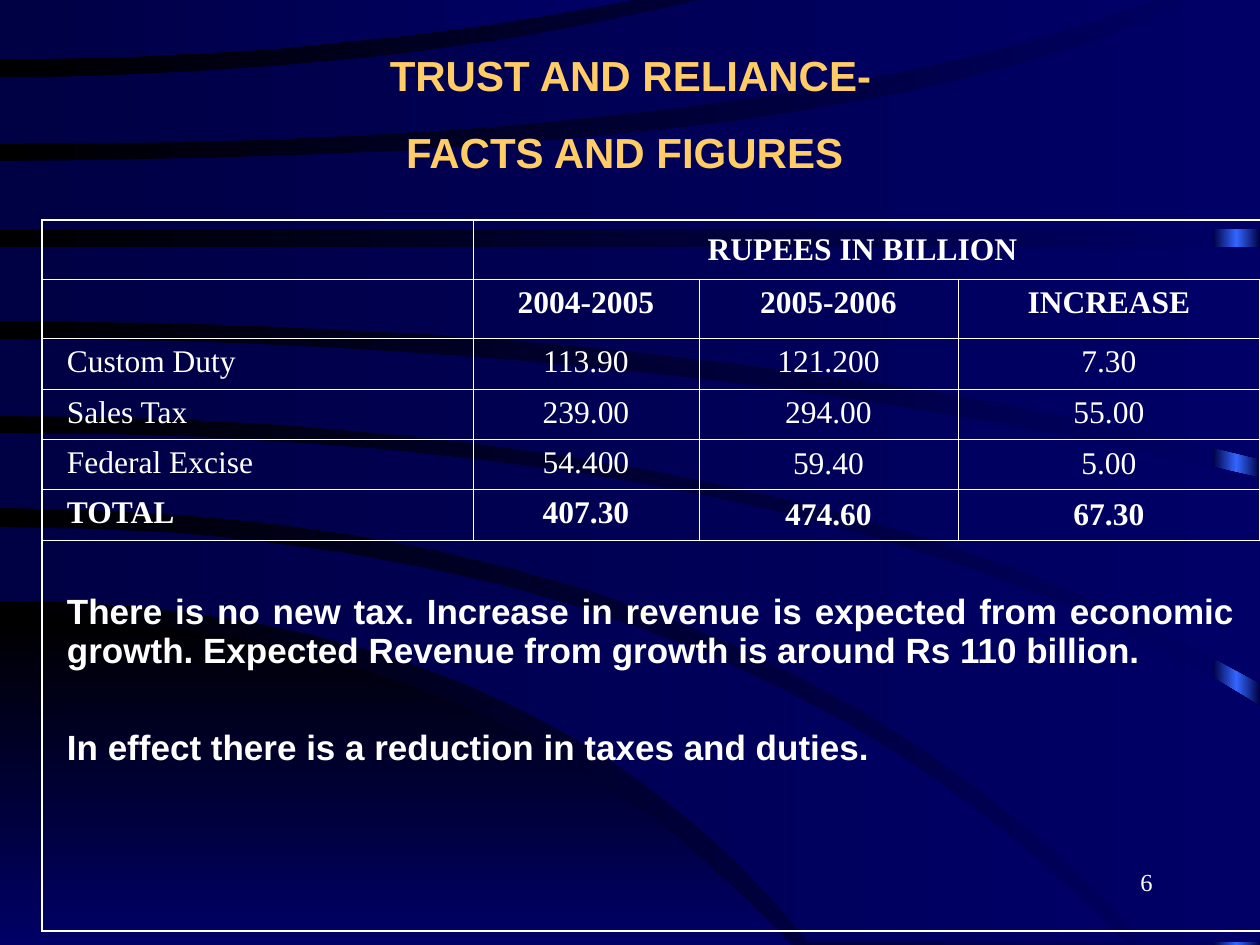
import copy

import pptx
import pptx.dml.color
import pptx.enum.shapes
import pptx.enum.text
import pptx.oxml
import pptx.oxml.ns
import pptx.util

PX = 914400 / 126
WIDTH, HEIGHT = 1260, 945
WHITE, GOLD, BLACK, NAVY, DEEP, BRIGHT = "FFFFFF", "FFCC66", "000000", "000066", "000044", "3366FF"
SERIF, SANS = "Times New Roman", "Arial"
ALIGN = pptx.enum.text.PP_ALIGN
ANCHOR = pptx.enum.text.MSO_ANCHOR

WEDGE = ((619, 497, 791, HEIGHT), (HEIGHT, 0, 791, HEIGHT))
SWEEPS = [
    ((527, 731, 1125, 942), (601, 536, 809, 942)),
    ((433, 830, WIDTH, 706), (508, 755, 1145, 942)),
    ((339, 681, WIDTH, 478), (416, 800, WIDTH, 683)),
    ((247, 0, WIDTH, 247), (321, 710, WIDTH, 459)),
    ((161, 880, 1188, 0), (229, 0, WIDTH, 229)),
    ((77, 380, 701, 0), (144, 776, 1155, 0)),
    ((0, 0, 631, 0), (59, 330, 631, 0)),
]

COLUMNS = [431, 226, 259, 302]
ROWS = [59, 59, 51, 50, 50, 51, 391]
FIGURES = [
    ["", "RUPEES IN BILLION ", "", ""],
    ["", "2004-2005", "2005-2006", "INCREASE"],
    ["Custom Duty", "113.90", "121.200", "7.30"],
    ["Sales Tax", "239.00", "294.00", "55.00"],
    ["Federal Excise", "54.400", "59.40", "5.00"],
    ["TOTAL", "407.30", "474.60", "67.30"],
]
BOLD_ROWS = {0, 1, 5}
MIDDLE_CELLS = {(0, 1), (4, 2), (4, 3), (5, 2), (5, 3)}
REMARKS = [
    "There is no new tax. Increase in revenue is expected from economic growth. "
    "Expected Revenue from growth is around Rs 110 billion. ",
    "In effect there is a reduction in taxes and duties.",
]


def px(length):
    """Turn pixels into EMU."""
    return pptx.util.Emu(round(length * PX))


def color(hex_code):
    """Turn a hex string into a colour."""
    return pptx.dml.color.RGBColor.from_string(hex_code)


def write(frame, texts, size=18, font=SERIF, hue=WHITE, bold=False, align=ALIGN.LEFT, gap=0,
          anchor=ANCHOR.TOP):
    """Fill a text frame with one paragraph per text."""
    frame.word_wrap = True
    frame.vertical_anchor = anchor
    for index, text in enumerate(texts):
        paragraph = frame.paragraphs[0] if index == 0 else frame.add_paragraph()
        paragraph.alignment = align
        paragraph.space_before = pptx.util.Pt(gap if index else 0)
        paragraph.font.size = pptx.util.Pt(size)
        if text:
            run = paragraph.add_run()
            run.text = text
            run.font.size = pptx.util.Pt(size)
            run.font.name = font
            run.font.bold = bold
            run.font.color.rgb = color(hue)


def shade(fill, start, end, angle=0):
    """Give a fill a gradient between two colours."""
    fill.gradient()
    fill.gradient_angle = angle
    for stop, hue, position in zip(fill.gradient_stops, (start, end), (0, 1)):
        stop.color.rgb = color(hue)
        stop.position = position


def trace(start_y, bend_x, end_x, end_y, steps=16):
    """List points on a curve that leaves the left side level and bends to its end."""
    points = []
    for step in range(steps + 1):
        t = step / steps
        points.append((round(2 * t * (1 - t) * bend_x + t * t * end_x),
                       round((1 - t * t) * start_y + t * t * end_y)))
    return points


def add_sweep(slide, box, edges, start, end, angle=0):
    """Draw the area between an upper and a lower curve."""
    left, top = box[:2]
    upper, lower = (trace(*edge) for edge in edges)
    ends = (upper[-1], lower[-1])
    corner = (max(x for x, _ in ends), min(ends, key=lambda point: point[0])[1])
    outline = [(left + x, top + y) for x, y in upper + [corner] + lower[::-1]]
    builder = slide.shapes.build_freeform(*outline[0], scale=PX)
    builder.add_line_segments(outline[1:], close=True)
    sweep = builder.convert_to_shape()
    sweep.shadow.inherit = False
    sweep.line.fill.background()
    shade(sweep.fill, start, end, angle)


def add_backdrop(slide, box):
    """Draw the background, the glowing edge and the sweeps."""
    left, top, width, height = box
    shade(slide.background.fill, BLACK, NAVY)
    edge_width = 47
    edge = slide.shapes.add_shape(pptx.enum.shapes.MSO_SHAPE.RECTANGLE, px(left + width - edge_width),
                                  px(top), px(edge_width), px(height))
    edge.shadow.inherit = False
    edge.line.fill.background()
    shade(edge.fill, DEEP, BRIGHT)
    stops = next(edge.element.iter(pptx.oxml.ns.qn("a:gsLst")))
    stops.append(copy.deepcopy(stops[0]))
    for stop, position in zip(edge.fill.gradient_stops, (0, 0.5, 1)):
        stop.position = position
    add_sweep(slide, box, WEDGE, BLACK, NAVY, angle=270)
    for edges in SWEEPS:
        add_sweep(slide, box, edges, DEEP, NAVY)


def place_title(slide, box):
    """Set the heading in the title placeholder, above the backdrop."""
    title = slide.shapes.title
    title.element.getparent().append(title.element)
    title.left, title.top, title.width, title.height = map(px, box)
    frame = title.text_frame
    frame.auto_size = pptx.enum.text.MSO_AUTO_SIZE.NONE
    frame.margin_top, frame.margin_bottom = px(6), px(52)
    write(frame, ["TRUST AND RELIANCE-", "FACTS AND FIGURES "], size=24, font=SANS, hue=GOLD,
          bold=True, align=ALIGN.CENTER, gap=15, anchor=ANCHOR.MIDDLE)


def add_page_number(slide, box):
    """Write the page number."""
    number = slide.shapes.add_textbox(*map(px, box))
    write(number.text_frame, ["6"], size=14, align=ALIGN.RIGHT)


def rule_cell(cell, weights):
    """Draw the left, right, top and bottom borders of a cell."""
    properties = cell._tc.get_or_add_tcPr()
    for index, (side, weight) in enumerate(zip("LRTB", weights)):
        paint = f'<a:solidFill><a:srgbClr val="{WHITE}"/></a:solidFill>' if weight else "<a:noFill/>"
        properties.insert(index, pptx.oxml.parse_xml(
            f'<a:ln{side} {pptx.oxml.ns.nsdecls("a")} w="{int(pptx.util.Pt(weight))}">{paint}</a:ln{side}>'))


def add_revenue_table(slide, box):
    """Build the revenue table with the remarks in its last row."""
    table = slide.shapes.add_table(len(ROWS), len(COLUMNS), *map(px, box)).table
    table.first_row = table.horz_banding = False
    for column, width in zip(table.columns, COLUMNS):
        column.width = px(width)
    for row, height in zip(table.rows, ROWS):
        row.height = px(height)
    last_row, last_column = len(ROWS) - 1, len(COLUMNS) - 1
    table.cell(0, 1).merge(table.cell(0, last_column))
    table.cell(last_row, 0).merge(table.cell(last_row, last_column))
    thin, thick = 0.45, 1.08
    for r in range(len(ROWS)):
        for c in range(len(COLUMNS)):
            cell = table.cell(r, c)
            cell.fill.background()
            cell.margin_left = cell.margin_right = px(25)
            joined = c < last_column and table.cell(r, c + 1).is_spanned
            rule_cell(cell, [
                0 if cell.is_spanned else thick if c == 0 else thin,
                0 if joined else thick if c == last_column else thin,
                thick if r == 0 else thin,
                thick if r == last_row else thin])
            if r < last_row and not cell.is_spanned:
                write(cell.text_frame, [FIGURES[r][c]], bold=r in BOLD_ROWS,
                      align=ALIGN.CENTER if c else ALIGN.LEFT)
                cell.vertical_anchor = ANCHOR.MIDDLE if (r, c) in MIDDLE_CELLS else ANCHOR.TOP
    remarks = table.cell(last_row, 0)
    write(remarks.text_frame, REMARKS, size=20, font=SANS, bold=True, align=ALIGN.JUSTIFY, gap=33)
    remarks.vertical_anchor = ANCHOR.TOP
    remarks.margin_top = px(53)


def main():
    """Build and save the slide."""
    deck = pptx.Presentation()
    deck.slide_width, deck.slide_height = px(WIDTH), px(HEIGHT)
    slide = deck.slides.add_slide(deck.slide_layouts[5])
    add_backdrop(slide, (0, 0, WIDTH, HEIGHT))
    add_page_number(slide, (903, 861, 262, 63))
    place_title(slide, (95, 31, 1071, 210))
    add_revenue_table(slide, (42, 220, sum(COLUMNS), sum(ROWS)))
    deck.save("out.pptx")


if __name__ == "__main__":
    main()
